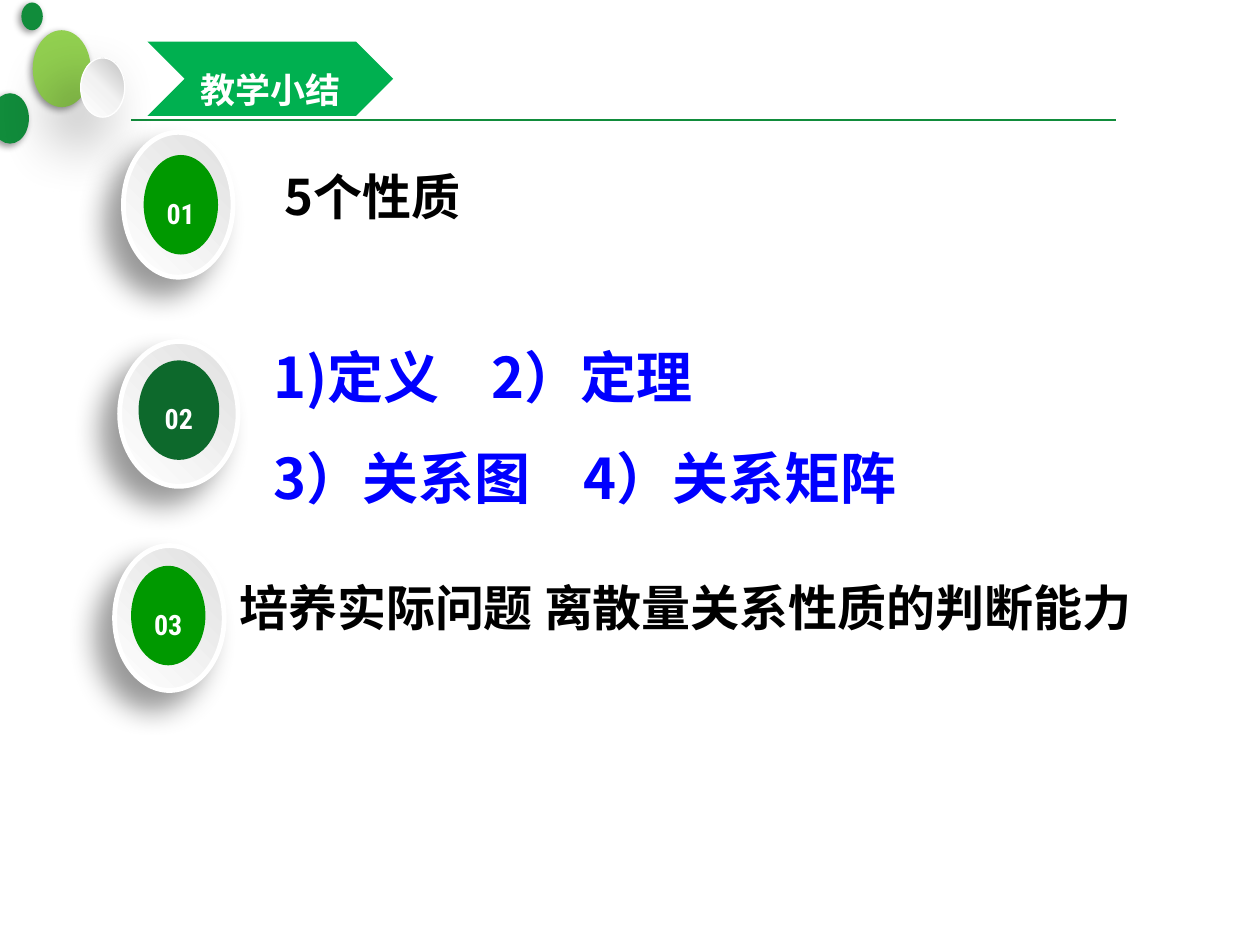
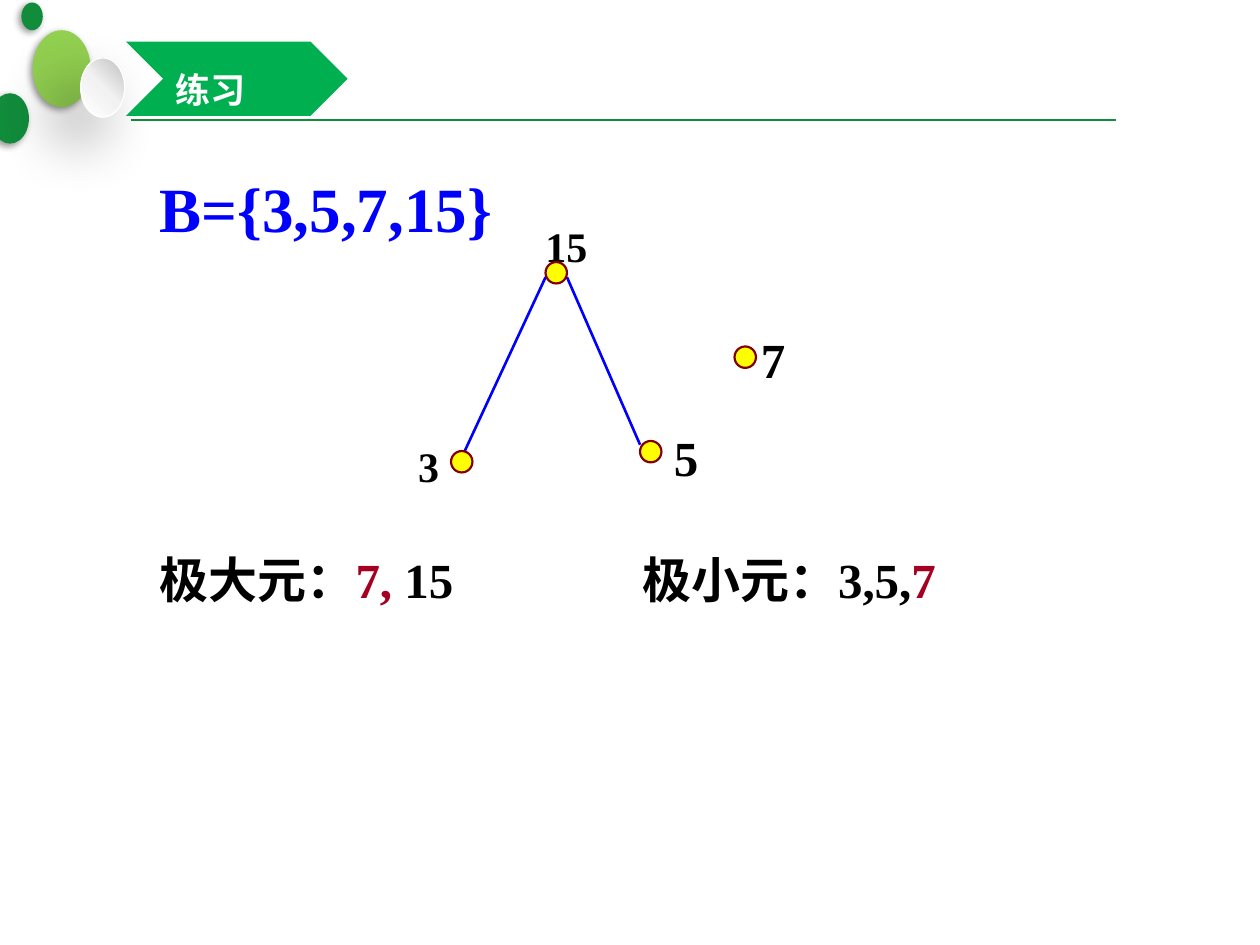
"""Build two discrete-mathematics slides: a lesson summary and an exercise on maximal elements."""
import pptx
import pptx.util
from lxml import etree
from pptx.dml.color import RGBColor
from pptx.enum.shapes import MSO_CONNECTOR, MSO_SHAPE
from pptx.enum.text import MSO_ANCHOR, MSO_AUTO_SIZE, PP_ALIGN
from pptx.oxml.ns import qn

PX = 9144
WHITE = RGBColor(0xFF, 0xFF, 0xFF)
BLACK = RGBColor(0x00, 0x00, 0x00)
BLUE = RGBColor(0x00, 0x00, 0xFF)
CRIMSON = RGBColor(0xA5, 0x00, 0x21)
MAROON = RGBColor(0x80, 0x00, 0x00)
YELLOW = RGBColor(0xFF, 0xFF, 0x00)
LIME = RGBColor(0x92, 0xD0, 0x50)
LEAF = RGBColor(0x11, 0x8C, 0x3B)
BANNER = RGBColor(0x00, 0xB0, 0x50)
GRASS = RGBColor(0x00, 0x99, 0x00)
FOREST = RGBColor(0x0D, 0x69, 0x2C)
MIST = RGBColor(0xF2, 0xF2, 0xF2)
SILVER = RGBColor(0xBF, 0xBF, 0xBF)
PEARL = RGBColor(0xE0, 0xE0, 0xE0)
SANS, SERIF, NUMERAL = "Noto Sans CJK SC", "Times New Roman", "Roboto Condensed"

SOFT_SHADOW, WIDE_SHADOW, RING_SHADOW = (4, 2), (35, 20), (16, 14)
BUBBLE_GRADIENT = (315, [(0, WHITE), (50, MIST), (100, SILVER)])
RING_GRADIENT = (135, [(0, PEARL), (100, WHITE)])

HEADER_RULE = ((104, 95), (886, 95))
BUBBLES = [
    ((26, 24, 46, 61), LIME, None, SOFT_SHADOW),
    ((-7, 74, 30, 40), LEAF, None, SOFT_SHADOW),
    ((64, 46, 35, 47), BUBBLE_GRADIENT, (WHITE, 0.75), WIDE_SHADOW),
    ((17, 2, 17, 22), LEAF, None, SOFT_SHADOW),
]

SUMMARY_TITLE = ("教学小结", 117, 195, PP_ALIGN.CENTER)
SUMMARY_POINTS = [
    {"number": "01", "ring": (98, 105, 87, 115), "core": (114, 123, 59, 79), "color": GRASS,
     "lines": [("5个性质", None)], "box": (204, 123, 562, 79), "indent": 22,
     "style": (28, BLACK, 1.2)},
    {"number": "02", "ring": (95, 271, 94, 115), "core": (110, 286, 64, 79), "color": FOREST,
     "lines": [("1)定义\t2）定理", 173), ("3）关系图\t4）关系矩阵", 246)],
     "box": (204, 245, 733, 191), "indent": 13, "style": (32, BLUE, 1.5)},
    {"number": "03", "ring": (91, 433, 87, 115), "core": (104, 449, 59, 79), "color": GRASS,
     "lines": [("培养实际问题 离散量关系性质的判断能力", None)],
     "box": (177, 449, 756, 79), "indent": 13, "style": (28, BLACK, 1.2)},
]

EXERCISE_TITLE = ("练习", 100, 176, PP_ALIGN.LEFT)
NODE_SIZE = 17
HASSE_EDGES = [((433, 220), (367, 362)), ((450, 220), (508, 353))]
HASSE_NODES = [
    ("15", (433, 208), (423, 150, 53, 70), 24),
    ("3", (358, 358), (322, 325, 36, 70), 24),
    ("5", (508, 350), (525, 311, 40, 81), 28),
    ("7", (583, 275), (594, 233, 39, 80), 28),
]
STATEMENTS = [
    ((117, 100, 410, 90), 36, [("B={3,5,7,15}", BLUE)]),
    ((117, 408, 352, 81), 28, [("极大元：", BLACK), ("7,", CRIMSON), (" 15", BLACK)]),
    ((500, 408, 433, 81), 28, [("极小元：3,5,", BLACK), ("7", CRIMSON)]),
]


def px(lengths):
    return [length * PX for length in lengths]


def add_xml(parent, tag, **attributes):
    return etree.SubElement(parent, qn(tag), {key: str(value) for key, value in attributes.items()})


def add_figure(slide, preset, box, paint, outline=None, shadow=None):
    figure = slide.shapes.add_shape(preset, *px(box))
    if isinstance(paint, RGBColor):
        figure.fill.solid()
        figure.fill.fore_color.rgb = paint
    else:
        angle, stops = paint
        figure.fill.gradient()
        figure.fill.gradient_angle = 360 - angle
        stop_list = next(figure._element.spPr.iter(qn("a:gsLst")))
        stop_list[:] = []
        for percent, color in stops:
            stop = add_xml(stop_list, "a:gs", pos=percent * 1000)
            add_xml(stop, "a:srgbClr", val=color)
    if outline:
        figure.line.color.rgb, figure.line.width = outline[0], pptx.util.Pt(outline[1])
    else:
        figure.line.fill.background()
    figure.shadow.inherit = False
    if shadow:
        blur, distance = map(pptx.util.Pt, shadow)
        effects = figure._element.spPr.find(qn("a:effectLst"))
        outer = add_xml(effects, "a:outerShdw", blurRad=blur, dist=distance,
                        dir=135 * 60000, algn="ctr", rotWithShape=0)
        add_xml(add_xml(outer, "a:srgbClr", val="000000"), "a:alpha", val=40000)
    return figure


def add_line(slide, ends, color, width):
    start, end = ends
    line = slide.shapes.add_connector(MSO_CONNECTOR.STRAIGHT, *px(start + end))
    line.line.color.rgb, line.line.width = color, pptx.util.Pt(width)
    add_xml(line._element.spPr, "a:effectLst")


def set_insets(frame, left, top, right, bottom):
    frame.margin_left, frame.margin_top, frame.margin_right, frame.margin_bottom = px(
        (left, top, right, bottom))


def write(paragraph, runs, size, font, spacing=1.5, align=PP_ALIGN.LEFT, tab=None):
    paragraph.alignment, paragraph.line_spacing = align, spacing
    properties = paragraph._p.get_or_add_pPr()
    if tab:
        add_xml(add_xml(properties, "a:tabLst"), "a:tab", pos=tab * PX, algn="l")
    paragraph.font.size, paragraph.font.bold = pptx.util.Pt(size), True
    paragraph.font.color.rgb = runs[0][1]
    paragraph.font.name = font
    add_xml(properties.find(qn("a:defRPr")), "a:ea", typeface=SANS)
    for text, color in runs:
        run = paragraph.add_run()
        run.text = text
        if color != runs[0][1]:
            run.font.color.rgb = color


def add_math(slide, box, size, runs, wrap):
    frame = slide.shapes.add_textbox(*px(box)).text_frame
    frame.word_wrap, frame.auto_size = wrap, MSO_AUTO_SIZE.SHAPE_TO_FIT_TEXT
    set_insets(frame, 10, 5, 10, 5)
    write(frame.paragraphs[0], runs, size, SERIF)


def add_slide(deck, title):
    slide = deck.slides.add_slide(deck.slide_layouts[6])
    add_line(slide, HEADER_RULE, LEAF, 1.25)
    for bubble in BUBBLES:
        add_figure(slide, MSO_SHAPE.OVAL, *bubble)
    text, left, width, align = title
    banner = add_figure(slide, MSO_SHAPE.CHEVRON, (left, 33, width, 59), BANNER)
    banner.text_frame.vertical_anchor = MSO_ANCHOR.MIDDLE
    write(banner.text_frame.paragraphs[0], [(text, WHITE)], 20, SANS, align=align)
    return slide


def add_point(slide, point):
    add_figure(slide, MSO_SHAPE.OVAL, point["ring"], RING_GRADIENT, (WHITE, 2.75), RING_SHADOW)
    core = add_figure(slide, MSO_SHAPE.OVAL, point["core"], point["color"]).text_frame
    core.vertical_anchor = MSO_ANCHOR.MIDDLE
    set_insets(core, 0, 0, 0, 0)
    write(core.paragraphs[0], [(point["number"], WHITE)], 16, NUMERAL, align=PP_ALIGN.CENTER)

    frame = slide.shapes.add_textbox(*px(point["box"])).text_frame
    frame.word_wrap = True
    set_insets(frame, point["indent"], 0, 13, 0)
    size, color, spacing = point["style"]
    for index, (text, tab) in enumerate(point["lines"]):
        paragraph = frame.add_paragraph() if index else frame.paragraphs[0]
        write(paragraph, [(text, color)], size, SANS, spacing, tab=tab)


def main():
    deck = pptx.Presentation()
    deck.slide_width, deck.slide_height = px((1000, 750))

    summary = add_slide(deck, SUMMARY_TITLE)
    for point in SUMMARY_POINTS:
        add_point(summary, point)

    exercise = add_slide(deck, EXERCISE_TITLE)
    for edge in HASSE_EDGES:
        add_line(exercise, edge, BLUE, 1.5)
    for label, _, box, size in HASSE_NODES:
        add_math(exercise, box, size, [(label, BLACK)], wrap=False)
    for _, corner, _, _ in HASSE_NODES:
        add_figure(exercise, MSO_SHAPE.OVAL, corner + (NODE_SIZE, NODE_SIZE), YELLOW, (MAROON, 1.25))
    for box, size, runs in STATEMENTS:
        add_math(exercise, box, size, runs, wrap=True)

    deck.save("out.pptx")


if __name__ == "__main__":
    main()
